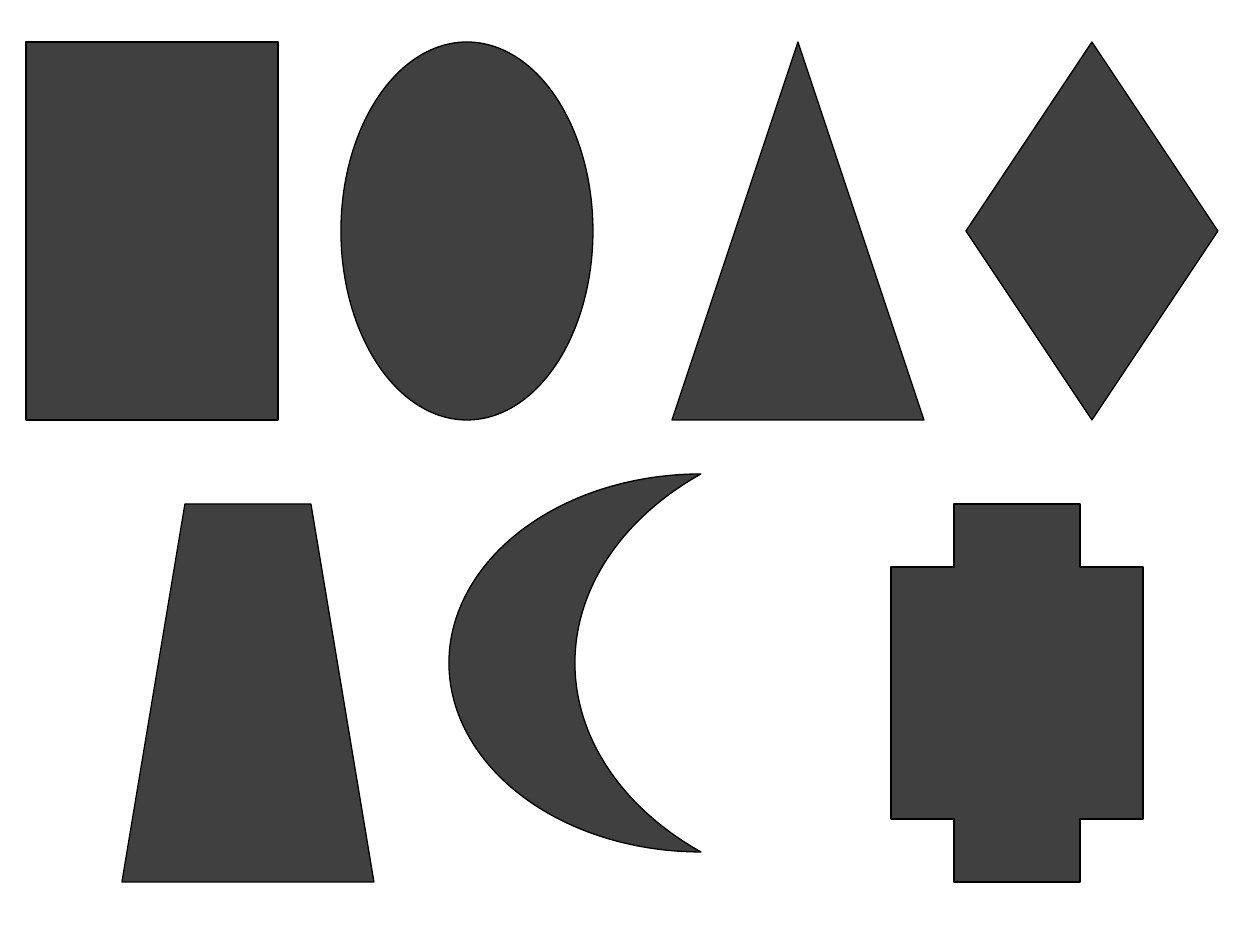
from typing import NamedTuple

from pptx import Presentation
from pptx.dml.color import RGBColor
from pptx.enum.shapes import MSO_SHAPE
from pptx.util import Emu, Inches, Pt

DPI = 126
WIDE, HIGH = 252, 378  # every figure has the same size, in px
TOP, LOW = 42, 504  # tops of the two rows
FILL, EDGE = "404040", "000000"


class Figure(NamedTuple):
    kind: MSO_SHAPE
    left: int
    top: int


FIGURES = [
    # Upper row
    Figure(MSO_SHAPE.OVAL, 341, TOP),
    Figure(MSO_SHAPE.RECTANGLE, 26, TOP),
    Figure(MSO_SHAPE.ISOSCELES_TRIANGLE, 672, TOP),
    Figure(MSO_SHAPE.DIAMOND, 966, TOP),
    # Lower row, with the moon raised
    Figure(MSO_SHAPE.TRAPEZOID, 122, LOW),
    Figure(MSO_SHAPE.MOON, 449, LOW - 30),
    Figure(MSO_SHAPE.CROSS, 891, LOW),
]


def px(count: int) -> Emu:
    return Emu(round(count * Inches(1) / DPI))


def paint(form, color: str) -> None:
    form.solid()
    form.fore_color.rgb = RGBColor.from_string(color)


def draw(slide, figure: Figure) -> None:
    shape = slide.shapes.add_shape(
        figure.kind, px(figure.left), px(figure.top), px(WIDE), px(HIGH)
    )
    shape.shadow.inherit = False
    paint(shape.fill, FILL)
    paint(shape.line.fill, EDGE)
    shape.line.width = Pt(0.75)


def main() -> None:
    deck = Presentation()
    deck.slide_width, deck.slide_height = Inches(10), Inches(7.5)
    slide = deck.slides.add_slide(deck.slide_layouts[6])
    for figure in FIGURES:
        draw(slide, figure)
    deck.save("out.pptx")


if __name__ == "__main__":
    main()
